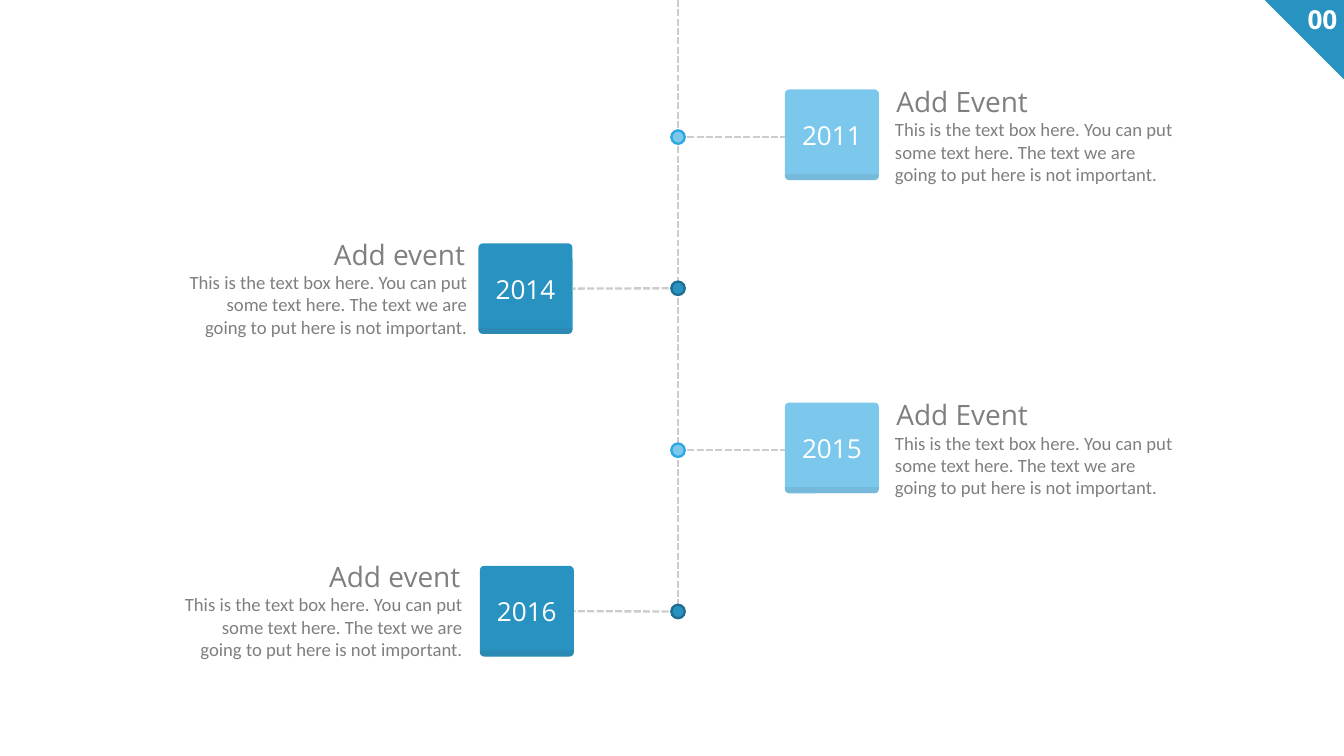
from lxml.etree import SubElement
from pptx import Presentation
from pptx.dml.color import RGBColor
from pptx.enum.dml import MSO_LINE
from pptx.enum.shapes import MSO_CONNECTOR, MSO_SHAPE
from pptx.enum.text import MSO_ANCHOR, MSO_AUTO_SIZE, PP_ALIGN
from pptx.oxml.ns import qn
from pptx.util import Inches, Pt

COLS, ROWS = 20, 11.25
CELL = Inches(1)
AXIS = 10.09
DOT = 0.2
CARD_W, CARD_H, EDGE = 1.4, 1.35, 0.09
BODY_W, BODY_H = 4.4, 1.11
HEAD_W, HEAD_H = 2.18, 0.61

COLORS = {
    "deep": "2893C1", "deep_rim": "1E6E91",
    "light": "7CC8EC", "light_rim": "2DA7E1",
    "line": "CCCCCC", "shade": "404040",
    "gray": "7F7F7F", "white": "FFFFFF",
}
FONTS = {
    "page": {"size": Pt(28), "name": "Open Sans", "bold": True},
    "year": {"size": Pt(28), "name": "Open Sans"},
    "head": {"size": Pt(30), "name": "Open Sans"},
    "body": {"size": Pt(20), "name": "Calibri"},
}
BODY = ("This is the text box here. You can put some text here. "
        "The text we are going to put here is not important.")
# year, heading, side, tone, card left, card top, dot row, text gap
EVENTS = [
    ("2011", "Add Event", "right", "light", 11.68, 1.33, 2.04, 0.14),
    ("2014", "Add event", "left", "deep", 7.12, 3.62, 4.29, 0.07),
    ("2015", "Add Event", "right", "light", 11.68, 5.99, 6.7, 0.14),
    ("2016", "Add event", "left", "deep", 7.14, 8.42, 9.1, 0.16),
]


def grid(*cells):
    return [round(c * CELL) for c in cells]


def tint(name):
    return RGBColor.from_string(COLORS[name])


def write(frame, text, style, color, align):
    para = frame.paragraphs[0]
    para.alignment = align
    run = para.add_run()
    run.text = text
    for key, value in FONTS[style].items():
        setattr(run.font, key, value)
    run.font.color.rgb = tint(color)


def add_text(slide, box, text, style, color, align, wrap=False):
    frame = slide.shapes.add_textbox(*grid(*box)).text_frame
    frame.word_wrap = wrap
    frame.auto_size = MSO_AUTO_SIZE.SHAPE_TO_FIT_TEXT
    write(frame, text, style, color, align)


def add_form(slide, kind, box, fill, rim=None, adjust=()):
    shape = slide.shapes.add_shape(kind, *grid(*box))
    shape.shadow.inherit = False
    shape.fill.solid()
    shape.fill.fore_color.rgb = tint(fill)
    if rim:
        shape.line.color.rgb = tint(rim)
        shape.line.width = Pt(2.5)
    else:
        shape.line.fill.background()
    for i, value in enumerate(adjust):
        shape.adjustments[i] = value
    return shape


def add_dash(slide, *ends):
    dash = slide.shapes.add_connector(MSO_CONNECTOR.STRAIGHT, *grid(*ends))
    dash.line.color.rgb = tint("line")
    dash.line.width = Pt(2.5)
    dash.line.dash_style = MSO_LINE.SQUARE_DOT
    SubElement(dash.line._get_or_add_ln().getparent(), qn("a:effectLst"))
    return dash


def add_corner(slide, size=1.18):
    flag = add_form(slide, MSO_SHAPE.ISOSCELES_TRIANGLE,
                    (COLS - size, 0, size, size), "deep", adjust=[0])
    flag.rotation = 180
    add_text(slide, (COLS - 0.65, 0, 0.65, 0.57), "00", "page", "white",
             PP_ALIGN.RIGHT)


def add_spine(slide, stops):
    for top, end in zip([0] + stops, stops):
        add_dash(slide, AXIS, top, AXIS, end)


def add_card(slide, x, y, year, tone):
    card = add_form(slide, MSO_SHAPE.ROUNDED_RECTANGLE,
                    (x, y, CARD_W, CARD_H), tone, adjust=[0.049])
    card.text_frame.vertical_anchor = MSO_ANCHOR.MIDDLE
    write(card.text_frame, year, "year", "white", PP_ALIGN.CENTER)
    edge = add_form(slide, MSO_SHAPE.ROUND_2_SAME_RECTANGLE,
                    (x, y + CARD_H - EDGE, CARD_W, EDGE), "shade",
                    adjust=[0, 0.5])
    color = edge.fill._xPr.find(qn("a:solidFill"))[0]
    SubElement(color, qn("a:alpha"), val="10000")
    return card


def add_event(slide, year, head, side, tone, x, y, row, gap):
    """Place a card, its texts, and the branch that ties it to the spine."""
    card = add_card(slide, x, y, year, tone)
    if side == "right":
        start = x + CARD_W + gap
        boxes = (start + 0.02, y - 0.12), (start, y + 0.38)
        align = PP_ALIGN.LEFT
        add_dash(slide, AXIS, row, x, row)
    else:
        end = x - gap
        boxes = (end - 0.03 - HEAD_W, y - 0.14), (end - BODY_W, y + 0.36)
        align = PP_ALIGN.RIGHT
        branch = add_dash(slide, AXIS, row, x + CARD_W, row)
        branch.end_connect(card, 3)
    add_text(slide, (*boxes[0], HEAD_W, HEAD_H), head, "head", "gray", align)
    add_text(slide, (*boxes[1], BODY_W, BODY_H), BODY, "body", "gray", align,
             wrap=True)
    add_form(slide, MSO_SHAPE.OVAL, (AXIS - DOT / 2, row - DOT / 2, DOT, DOT),
             tone, tone + "_rim")


def main():
    deck = Presentation()
    deck.slide_width, deck.slide_height = grid(COLS, ROWS)
    slide = deck.slides.add_slide(deck.slide_layouts[6])
    add_corner(slide)
    add_spine(slide, [event[6] for event in EVENTS])
    for event in EVENTS:
        add_event(slide, *event)
    deck.save("out.pptx")


if __name__ == "__main__":
    main()
